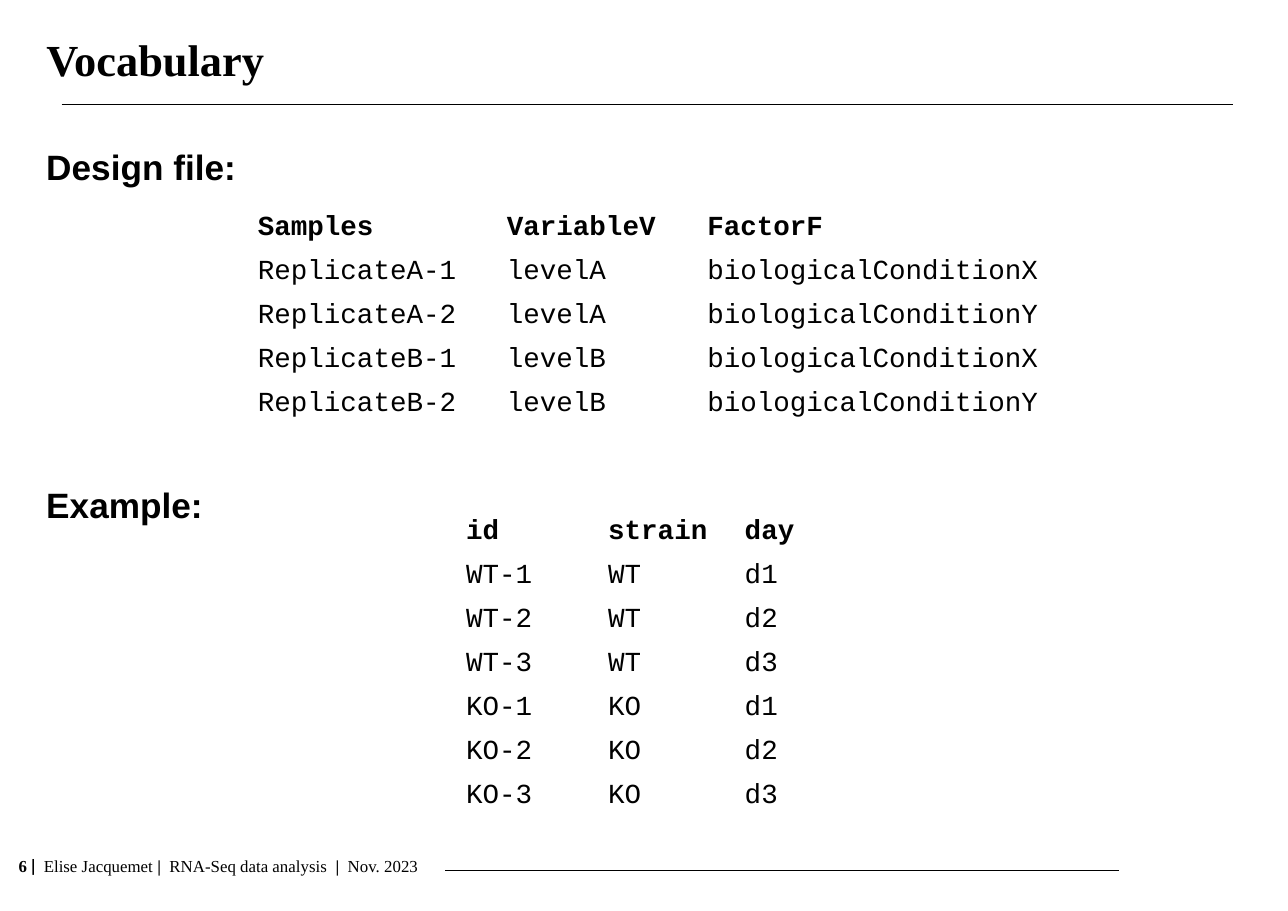
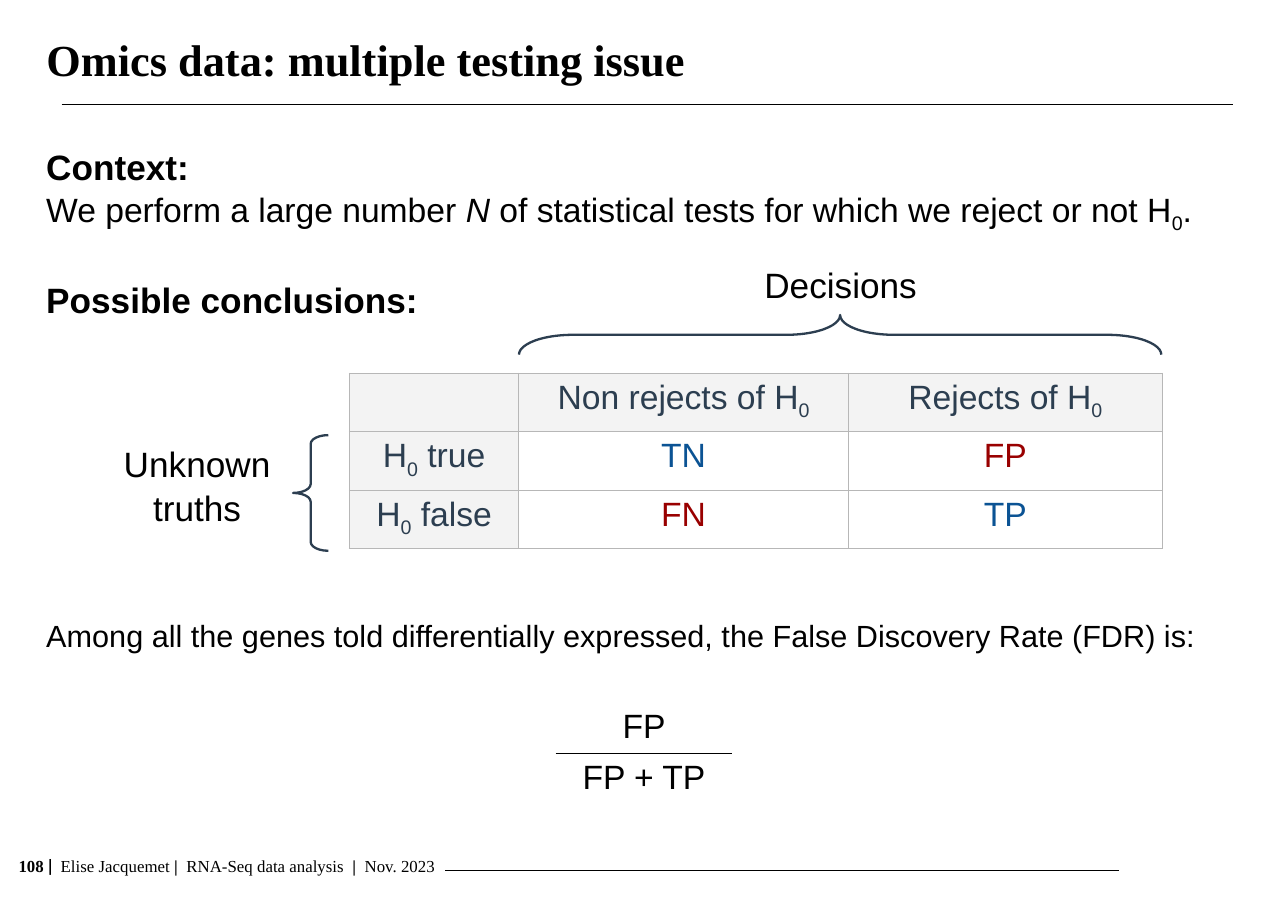
from lxml import etree
from pptx import Presentation
from pptx.dml.color import RGBColor
from pptx.enum import shapes, text
from pptx.oxml import ns
from pptx.util import Inches, Pt

COLORS = {
    "ink": "000000", "paper": "FFFFFF", "slate": "2C3E50", "header": "F3F3F3",
    "grid": "B7B7B7", "right": "0B5394", "wrong": "990000",
}
SERIF, SANS, MONO = "Times New Roman", "Arial", "Courier New"
LINE_SPACING = 1.04
BLANK_LINE = 27.5
CENTER, LEFT = text.PP_ALIGN.CENTER, text.PP_ALIGN.LEFT
SUB_0 = ("0", {"sub": True})


def rgb(name):
    return RGBColor.from_string(COLORS[name])


def write(paragraph, content, **style):
    """Fill a paragraph; content is a string or a list of strings and (string, overrides)."""
    parts = [content] if isinstance(content, str) else content
    for part in parts:
        words, changes = (part, {}) if isinstance(part, str) else part
        look = {"size": 22, "font": SANS, "color": "ink", "bold": False,
                "italic": False, "sub": False, **style, **changes}
        run = paragraph.add_run()
        run.text = words
        run.font.size = Pt(look["size"])
        run.font.name = look["font"]
        run.font.bold = look["bold"]
        run.font.italic = look["italic"]
        run.font.color.rgb = rgb(look["color"])
        if look["sub"]:
            run._r.get_or_add_rPr().set("baseline", "-25000")


def set_border(cell, sides, color, width):
    """Draw cell edges; sides are letters out of L, R, T and B."""
    props = cell._tc.get_or_add_tcPr()
    for position, side in enumerate(sides):
        edge = etree.Element(ns.qn(f"a:ln{side}"), w=str(Pt(width)))
        fill = etree.SubElement(edge, ns.qn("a:solidFill"))
        etree.SubElement(fill, ns.qn("a:srgbClr"), val=COLORS[color])
        props.insert(position, edge)


class Deck:
    def __init__(self):
        self.prs = Presentation()
        self.prs.slide_width, self.prs.slide_height = Inches(11.69), Inches(8.27)
        self.slide = None

    def new_slide(self, title, number):
        self.slide = self.prs.slides.add_slide(self.prs.slide_layouts[5])
        heading = self.slide.shapes.title
        heading.left, heading.top = Inches(0.42), Inches(0.01)
        heading.width, heading.height = Inches(10.86), Inches(1.05)
        self.prepare(heading.text_frame, 0, 0)
        heading.text_frame.vertical_anchor = text.MSO_ANCHOR.MIDDLE
        paragraph = heading.text_frame.paragraphs[0]
        paragraph.alignment = LEFT
        write(paragraph, title, size=29, font=SERIF, bold=True)
        self.rule(0.56, 0.95, 10.63)
        self.footer(number)

    def footer(self, number):
        self.rule(4.04, 7.9, 6.12)
        bold = {"bold": True}
        credits = [(f"{number} ", bold), ("|  ", {"bold": True, "font": "Lato"}),
                   "Elise Jacquemet ", ("| ", bold), " RNA-Seq data analysis  ",
                   ("| ", bold), " Nov. 2023"]
        frame = self.box(0.07, 7.72, 4.5, 0.29)
        write(frame.paragraphs[0], credits, size=11, font=SERIF)

    def prepare(self, frame, side, edge):
        frame.word_wrap = True
        frame.auto_size = text.MSO_AUTO_SIZE.NONE
        frame.margin_left = frame.margin_right = Inches(side)
        frame.margin_top = frame.margin_bottom = Inches(edge)

    def box(self, left, top, width, height, side=0.1, edge=0.05):
        shape = self.slide.shapes.add_textbox(
            Inches(left), Inches(top), Inches(width), Inches(height))
        self.prepare(shape.text_frame, side, edge)
        return shape.text_frame

    def rule(self, left, top, width):
        line = self.slide.shapes.add_connector(
            shapes.MSO_CONNECTOR.STRAIGHT, Inches(left), Inches(top),
            Inches(left + width), Inches(top))
        line.line.color.rgb = rgb("ink")
        line.line.width = Pt(0.75)
        etree.SubElement(line._element.spPr, ns.qn("a:effectLst"))

    def body(self, *items):
        """Each item is (blank lines before, content, style)."""
        frame = self.box(0.42, 1.3, 10.86, 6.38, 0, 0)
        for index, (gap, content, style) in enumerate(items):
            paragraph = frame.add_paragraph() if index else frame.paragraphs[0]
            paragraph.line_spacing = LINE_SPACING
            if gap:
                paragraph.space_before = Pt(gap * BLANK_LINE)
            write(paragraph, content, **style)

    def label(self, words, left, top, width, height):
        paragraph = self.box(left, top, width, height).paragraphs[0]
        paragraph.alignment = CENTER
        paragraph.line_spacing = LINE_SPACING
        write(paragraph, words, size=23)

    def brace(self, left, top, width, height, curve, rotation=0):
        """Place a left brace; sizes are those before rotation about its centre."""
        shape = self.slide.shapes.add_shape(
            shapes.MSO_SHAPE.LEFT_BRACE, Inches(left), Inches(top),
            Inches(width), Inches(height))
        shape.adjustments[0] = curve
        shape.rotation = rotation
        shape.shadow.inherit = False
        shape.fill.background()
        shape.line.color.rgb = rgb("slate")
        shape.line.width = Pt(1.5)

    def table(self, rows, left, top, widths, row_height, style_of, align=LEFT):
        """style_of(row, column) gives the fill name and the text style of a cell."""
        grid = self.slide.shapes.add_table(
            len(rows), len(widths), Inches(left), Inches(top),
            Inches(sum(widths)), Inches(row_height * len(rows))).table
        grid.first_row = grid.horz_banding = False
        for column, width in zip(grid.columns, widths):
            column.width = Inches(width)
        for r, row in enumerate(rows):
            grid.rows[r].height = Inches(row_height)
            for c, content in enumerate(row):
                cell = grid.cell(r, c)
                fill, style = style_of(r, c)
                cell.fill.solid()
                cell.fill.fore_color.rgb = rgb(fill)
                if content:
                    paragraph = cell.text_frame.paragraphs[0]
                    paragraph.alignment = align
                    write(paragraph, content, **style)
        return grid

    def design_table(self, rows, left, top, widths):
        self.table(rows, left, top, widths, 0.4, lambda r, c: (
            "paper", {"size": 18, "font": MONO, "bold": r == 0}))


def vocabulary(deck):
    deck.new_slide("Vocabulary", 6)
    section = {"size": 23, "bold": True}
    deck.body((0, "Design file:", section), (7, "Example:", section))
    design = [("Samples", "VariableV", "FactorF")]
    design += [(f"Replicate{level}-{i}", f"level{level}", f"biologicalCondition{condition}")
               for level in "AB" for i, condition in enumerate("XY", 1)]
    deck.design_table(design, 2.24, 1.88, (2.26, 1.82, 3.41))
    example = [("id", "strain", "day")]
    example += [(f"{strain}-{day}", strain, f"d{day}")
                for strain in ("WT", "KO") for day in (1, 2, 3)]
    deck.design_table(example, 4.13, 4.64, (1.29, 1.24, 1.04))


def multiple_testing(deck):
    deck.new_slide("Omics data: multiple testing issue", 108)
    section = {"size": 23, "bold": True}
    context = ["We perform a large number ", ("N", {"italic": True}),
               " of statistical tests for which we reject or not H", SUB_0, "."]
    fdr = ("Among all the genes told differentially expressed, "
           "the False Discovery Rate (FDR) is:")
    deck.body((0, "Context:", section), (0, context, {}),
              (1, "Possible conclusions:", section), (7, fdr, {"size": 20}))

    def outcome_style(r, c):
        if r == 0 or c == 0:
            return "header", {"color": "slate"}
        return "paper", {"color": "right" if r == c else "wrong"}

    outcomes = deck.table(
        [("", ["Non rejects of H", SUB_0], ["Rejects of H", SUB_0]),
         (["H", SUB_0, " true"], "TN", "FP"),
         (["H", SUB_0, " false"], "FN", "TP")],
        3.17, 3.39, (1.54, 2.99, 2.85), 0.53, outcome_style, CENTER)
    for cell in outcomes.iter_cells():
        set_border(cell, "LRTB", "grid", 0.75)

    fraction = deck.table([("FP",), ("FP + TP",)], 5.05, 6.38, (1.59,), 0.46,
                          lambda r, c: ("paper", {}), CENTER)
    set_border(fraction.cell(0, 0), "B", "ink", 0.96)
    set_border(fraction.cell(1, 0), "T", "ink", 0.96)

    span, depth = 5.83, 0.36
    deck.brace(4.71 + (span - depth) / 2, 2.86 - (span - depth) / 2,
               depth, span, 1.36, rotation=90)
    deck.label("Decisions", 6.72, 2.33, 1.82, 0.52)
    deck.brace(2.66, 3.95, 0.32, 1.05, 0.25)
    deck.label("Unknown truths", 0.91, 3.95, 1.76, 0.82)


def main():
    deck = Deck()
    vocabulary(deck)
    multiple_testing(deck)
    deck.prs.save("out.pptx")


if __name__ == "__main__":
    main()
